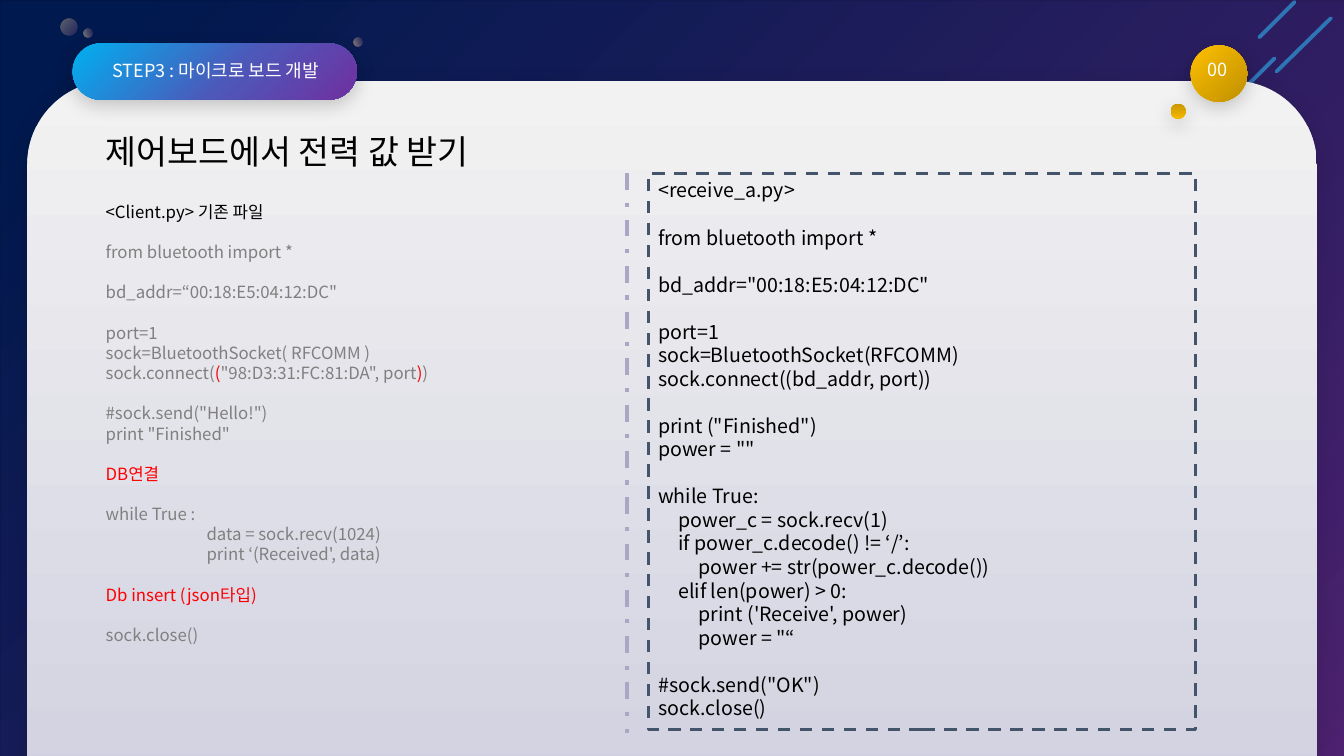
"""Build the slide on receiving power values from a control board."""
from dataclasses import dataclass
from typing import Optional

from lxml.etree import SubElement
from pptx import Presentation
from pptx.dml.color import RGBColor
from pptx.enum.dml import MSO_LINE_DASH_STYLE as DASH
from pptx.enum.shapes import MSO_CONNECTOR, MSO_SHAPE
from pptx.enum.text import MSO_ANCHOR as ANCHOR, PP_ALIGN as ALIGN
from pptx.oxml import parse_xml
from pptx.oxml.ns import nsdecls, qn
from pptx.util import Emu, Pt


@dataclass(frozen=True)
class Theme:
    font: str = "Noto Sans CJK KR"
    black: str = "000000"
    white: str = "FFFFFF"
    gray: str = "808080"
    red: str = "FF0000"
    streak: str = "2E75B6"
    frame: str = "44546A"
    divider: str = "ABA6C4"
    title: float = 24
    badge: float = 12.9
    old_code: float = 12
    new_code: float = 14


@dataclass(frozen=True)
class Stop:
    pos: int
    color: str
    alpha: int = 100


@dataclass(frozen=True)
class Panel:
    kind: MSO_SHAPE
    box: tuple[int, int, int, int]
    stops: tuple[Stop, ...]
    angle: int = 0
    shadow: int = 0
    rotation: float = 0
    radius: Optional[float] = None


@dataclass(frozen=True)
class Stroke:
    points: tuple[int, int, int, int]
    color: str
    width: float
    dash: Optional[DASH] = None


@dataclass(frozen=True)
class Line:
    runs: tuple[tuple[str, str], ...]
    level: int = 0


@dataclass(frozen=True)
class Style:
    size: float
    leading: float
    indent: int = 0
    align: ALIGN = ALIGN.LEFT
    anchor: ANCHOR = ANCHOR.TOP


Blocks = tuple[tuple[Line, ...], ...]
T = Theme()
PX = 9144


def px(n: int) -> Emu:
    """Turn px into EMU."""
    return Emu(n * PX)


def line(text: str, color: str = T.black, level: int = 0) -> Line:
    """Make a line of one colour."""
    return Line(((text, color),), level)


def fill_gradient(sp, stops: tuple[Stop, ...], angle: int) -> None:
    """Give a shape a linear gradient."""
    sp.fill.background()
    gs = "".join(
        f'<a:gs pos="{s.pos * 1000}"><a:srgbClr val="{s.color}">'
        f'<a:alpha val="{s.alpha * 1000}"/></a:srgbClr></a:gs>' for s in stops)
    grad = parse_xml(
        f'<a:gradFill {nsdecls("a")} rotWithShape="1"><a:gsLst>{gs}</a:gsLst>'
        f'<a:lin ang="{angle * 60000}" scaled="0"/></a:gradFill>')
    spPr = sp._element.spPr
    spPr.replace(spPr.find(qn("a:noFill")), grad)


def draw_panel(slide, panel: Panel) -> None:
    """Draw a filled shape, with a soft shadow if it has one."""
    sp = slide.shapes.add_shape(panel.kind, *map(px, panel.box))
    sp.rotation = panel.rotation
    if panel.radius is not None:
        sp.adjustments[0] = panel.radius
    sp.line.fill.background()
    sp.shadow.inherit = False
    if len(panel.stops) == 1:
        sp.fill.solid()
        sp.fill.fore_color.rgb = RGBColor.from_string(panel.stops[0].color)
    else:
        fill_gradient(sp, panel.stops, panel.angle)
    if panel.shadow:
        sp._element.spPr.find(qn("a:effectLst")).append(parse_xml(
            f'<a:outerShdw {nsdecls("a")} blurRad="{Pt(14)}" dist="{Pt(4)}" '
            f'dir="5400000" rotWithShape="0"><a:srgbClr val="{T.black}">'
            f'<a:alpha val="{panel.shadow * 1000}"/></a:srgbClr></a:outerShdw>'))


def draw_stroke(slide, stroke: Stroke) -> None:
    """Draw a line, round-ended when it is solid."""
    cx = slide.shapes.add_connector(MSO_CONNECTOR.STRAIGHT, *map(px, stroke.points))
    cx.line.color.rgb = RGBColor.from_string(stroke.color)
    cx.line.width = Pt(stroke.width)
    if stroke.dash:
        cx.line.dash_style = stroke.dash
    else:
        cx.line._get_or_add_ln().set("cap", "rnd")
    SubElement(cx._element.spPr, qn("a:effectLst"))


def write(sp, blocks: Blocks, style: Style) -> None:
    """Write blocks of lines, one line height apart."""
    tf = sp.text_frame
    tf.word_wrap = True
    tf.vertical_anchor = style.anchor
    for i, block in enumerate(blocks):
        for j, item in enumerate(block):
            p = tf.add_paragraph() if i or j else tf.paragraphs[0]
            p.alignment = style.align
            p.line_spacing = Pt(style.leading)
            p.space_before = Pt(style.leading if i and not j else 0)
            if item.level:
                p._p.get_or_add_pPr().set("marL", str(px(style.indent * item.level)))
            for text, color in item.runs:
                r = p.add_run()
                r.text = text
                r.font.size = Pt(style.size)
                r.font.name = T.font
                r.font.color.rgb = RGBColor.from_string(color)
                SubElement(r.font._element, qn("a:ea"), typeface=T.font)


def add_text(slide, box: tuple[int, int, int, int], blocks: Blocks, style: Style) -> None:
    """Add a text box."""
    write(slide.shapes.add_textbox(*map(px, box)), blocks, style)


RECT, ROUND, OVAL = MSO_SHAPE.RECTANGLE, MSO_SHAPE.ROUNDED_RECTANGLE, MSO_SHAPE.OVAL
GOLD = (Stop(0, "FFC000"), Stop(100, "BF9000"))
BACKDROP = (
    Panel(RECT, (0, 0, 1336, 750), (Stop(0, T.black),)),
    Panel(RECT, (0, 1, 1336, 750), (Stop(6, "002060", 80), Stop(100, "552579", 91)), 225, rotation=180),
)
STREAKS = tuple(Stroke(pts, T.streak, 2.75) for pts in (
    (1249, 37, 1284, 2), (1237, 85, 1264, 58), (1266, 71, 1320, 18)))
BUBBLES = tuple(
    Panel(OVAL, (x, y, d, d), (Stop(0, "FFE699", alpha), Stop(95, "3F2473", 38)), 90, rotation=rot)
    for x, y, d, alpha, rot in ((351, 37, 9, 64, 247.4), (83, 28, 9, 59, 247.4), (60, 18, 17, 43, 308.7)))
CARDS = (
    Panel(ROUND, (27, 80, 1279, 757), (Stop(0, "F2F2F2"), Stop(100, "CFCFE0")), 90, 12, radius=0.11),
    Panel(OVAL, (1181, 45, 56, 56), GOLD, 45, 20),
    Panel(OVAL, (1161, 103, 15, 15), GOLD, 45, 20, 225),
    Panel(ROUND, (72, 43, 282, 56), (Stop(0, "00B0F0"), Stop(56, "4D58B9"), Stop(100, "7030A0")),
          45, 20, radius=0.5),
)
OLD_CODE: Blocks = (
    (line("<Client.py> 기존 파일"),),
    (line("from bluetooth import *", T.gray),),
    (line("bd_addr=“00:18:E5:04:12:DC\"", T.gray),),
    (line("port=1", T.gray), line("sock=BluetoothSocket( RFCOMM )", T.gray),
     Line((("sock.connect(", T.gray), ("(", T.red), ("\"98:D3:31:FC:81:DA\", port", T.gray),
           (")", T.red), (")", T.gray)))),
    (line("#sock.send(\"Hello!\")", T.gray), line("print \"Finished\"", T.gray)),
    (line("DB연결", T.red),),
    (line("while True :", T.gray), line("data = sock.recv(1024)", T.gray, 1),
     line("print ‘(Received', data)", T.gray, 1)),
    (line("Db insert (json타입)", T.red),),
    (line("sock.close()", T.gray),),
)
NEW_CODE: Blocks = (
    (line("<receive_a.py>"),),
    (line("from bluetooth import *"),),
    (line("bd_addr=\"00:18:E5:04:12:DC\""),),
    (line("port=1"), line("sock=BluetoothSocket(RFCOMM)"), line("sock.connect((bd_addr, port))")),
    (line("print (\"Finished\")"), line("power = \"\"")),
    (line("while True:"), line("power_c = sock.recv(1)", level=1),
     line("if power_c.decode() != ‘/’:", level=1), line("power += str(power_c.decode())", level=2),
     line("elif len(power) > 0:", level=1), line("print ('Receive', power)", level=2),
     line("power = \"“", level=2)),
    (line("#sock.send(\"OK\")"), line("sock.close()")),
)


def main() -> None:
    """Draw the slide and save it."""
    prs = Presentation()
    prs.slide_width, prs.slide_height = px(1333), px(750)
    slide = prs.slides.add_slide(prs.slide_layouts[6])
    for panel in BACKDROP:
        draw_panel(slide, panel)
    for streak in STREAKS:
        draw_stroke(slide, streak)
    for panel in BUBBLES + CARDS:
        draw_panel(slide, panel)
    add_text(slide, (1185, 58, 46, 27), ((line("00", T.white),),), Style(T.badge, 12, align=ALIGN.CENTER))
    add_text(slide, (73, 57, 282, 29), ((line("STEP3 : 마이크로 보드 개발", T.white),),),
             Style(T.badge, 13, align=ALIGN.CENTER, anchor=ANCHOR.MIDDLE))
    add_text(slide, (95, 195, 345, 517), OLD_CODE, Style(T.old_code, 14.4, 100))
    add_text(slide, (95, 130, 1144, 55), ((line("제어보드에서 전력 값 받기"),),), Style(T.title, 25))
    frame = slide.shapes.add_shape(RECT, *map(px, (643, 172, 543, 552)))
    frame.shadow.inherit = False
    frame.fill.background()
    frame.line.color.rgb = RGBColor.from_string(T.frame)
    frame.line.width = Pt(2.25)
    frame.line.dash_style = DASH.DASH
    write(frame, NEW_CODE, Style(T.new_code, 16.8, 20))
    draw_stroke(slide, Stroke((622, 172, 622, 727), T.divider, 3, DASH.DASH_DOT))
    prs.save("out.pptx")


if __name__ == "__main__":
    main()
